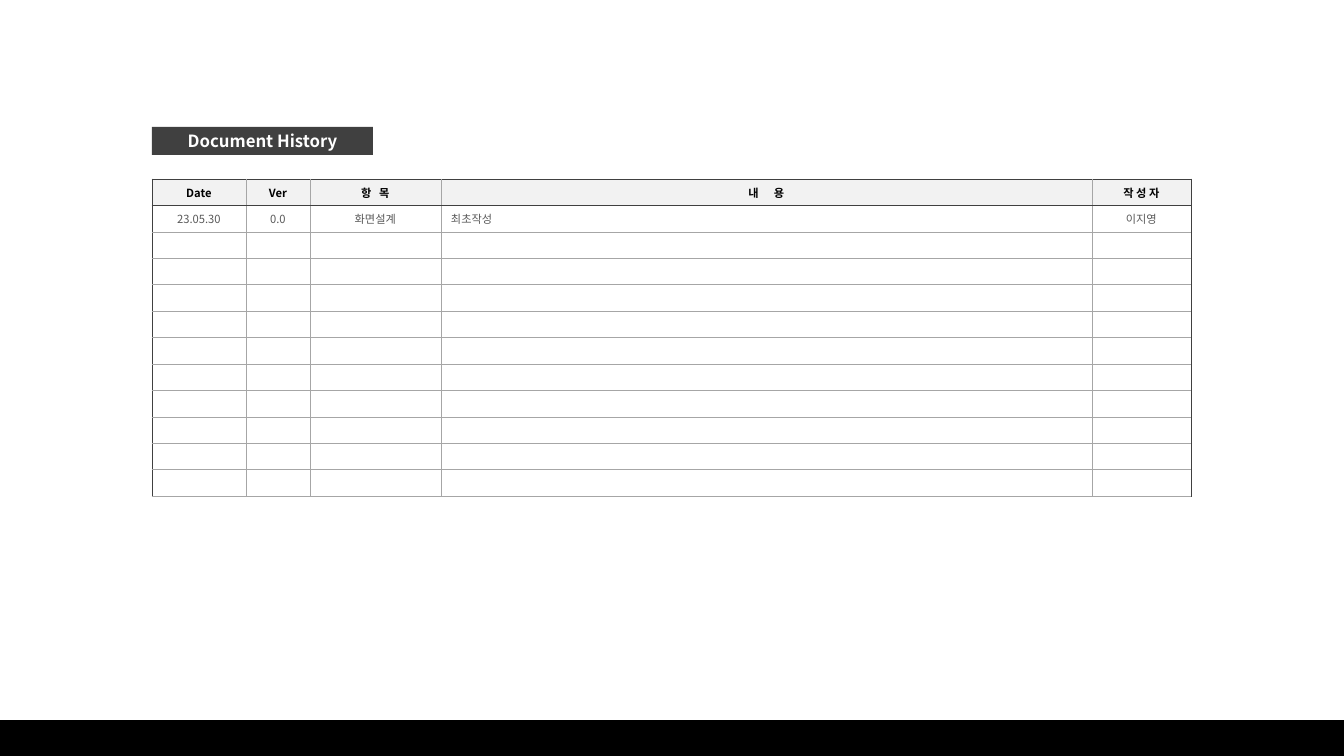
from copy import deepcopy

from lxml import etree
from pptx import Presentation
from pptx.dml.color import RGBColor
from pptx.enum.shapes import MSO_SHAPE
from pptx.enum.text import MSO_ANCHOR, PP_ALIGN
from pptx.oxml.ns import qn
from pptx.util import Emu, Pt

RECT = MSO_SHAPE.RECTANGLE
MIDDLE = MSO_ANCHOR.MIDDLE
LEFT, CENTER = PP_ALIGN.LEFT, PP_ALIGN.CENTER

# Content
TITLE = "Document History"
HEADER = ["Date", "Ver", "항   목", "내      용", "작 성 자"]
ENTRIES = [["23.05.30", "0.0", "화면설계", "최초작성", "이지영"]]
EMPTY_ROWS = 10
DESCRIPTION_COL = 3

# Style
FONT = "Noto Sans CJK KR"
COLORS = {
    "black": "000000",
    "white": "FFFFFF",
    "dark": "404040",
    "body": "595959",
    "grid": "A6A6A6",
    "header": "F2F2F2",
}

# Layout in px
SLIDE_W, SLIDE_H = 1344, 756
FOOTER_H = 36
TITLE_BOX = (152, 127, 221, 28)
TABLE_X, TABLE_Y = 152, 179
COL_WIDTHS = [94, 64, 131, 651, 99]
ROW_H = 24
BORDER_PT = 0.5


def px(n):
    return Emu(round(n * 12192000 / SLIDE_W))


def rgb(name):
    return RGBColor.from_string(COLORS[name])


def add_bar(slide, box, color):
    sp = slide.shapes.add_shape(RECT, *map(px, box))
    sp.shadow.inherit = False
    sp.fill.solid()
    sp.fill.fore_color.rgb = rgb(color)
    sp.line.fill.background()
    return sp


def write(tf, text, size, color, bold, align=CENTER):
    p = tf.paragraphs[0]
    p.text = text
    p.alignment = align
    p.font.name = FONT
    p.font.size = Pt(size)
    p.font.bold = bold
    p.font.color.rgb = rgb(color)
    # Hangul typeface, and the same font for paragraphs without text
    props = p._p.pPr.find(qn("a:defRPr"))
    etree.SubElement(props, qn("a:ea"), typeface=FONT)
    end = etree.SubElement(p._p, qn("a:endParaRPr"), dict(props.attrib))
    end.extend(deepcopy(list(props)))


def set_borders(cell, **sides):
    tcPr = cell._tc.get_or_add_tcPr()
    for side, color in sides.items():
        ln = etree.SubElement(tcPr, qn(f"a:ln{side}"), w=str(Pt(BORDER_PT)))
        fill = etree.SubElement(ln, qn("a:solidFill"))
        etree.SubElement(fill, qn("a:srgbClr"), val=COLORS[color])


def add_history(slide):
    rows = [HEADER, *ENTRIES] + [[""] * len(HEADER)] * EMPTY_ROWS
    last = len(HEADER) - 1
    frame = slide.shapes.add_table(
        len(rows), len(HEADER), px(TABLE_X), px(TABLE_Y),
        px(sum(COL_WIDTHS)), px(ROW_H * len(rows)))
    table = frame.table
    table.first_row = table.horz_banding = False
    for col, width in zip(table.columns, COL_WIDTHS):
        col.width = px(width)
    for r, texts in enumerate(rows):
        table.rows[r].height = px(ROW_H)
        head = r == 0
        for c, text in enumerate(texts):
            cell = table.cell(r, c)
            cell.vertical_anchor = MIDDLE
            align = LEFT if c == DESCRIPTION_COL and not head else CENTER
            write(cell.text_frame, text, 8, "black" if head else "body", head, align)
            set_borders(
                cell,
                L="dark" if c == 0 else "grid",
                R="dark" if c == last else "grid",
                T="dark" if r <= 1 else "grid",
                B="dark" if head else "grid")
            if head:
                cell.fill.solid()
                cell.fill.fore_color.rgb = rgb("header")
            else:
                cell.fill.background()


def main():
    prs = Presentation()
    prs.slide_width, prs.slide_height = px(SLIDE_W), px(SLIDE_H)
    slide = prs.slides.add_slide(prs.slide_layouts[6])

    # Footer band
    add_bar(slide, (0, SLIDE_H - FOOTER_H, SLIDE_W, FOOTER_H), "black")

    # Title label
    tf = add_bar(slide, TITLE_BOX, "dark").text_frame
    tf.word_wrap = False
    tf.vertical_anchor = MIDDLE
    write(tf, TITLE, 12, "white", True)

    # Revision table
    add_history(slide)

    prs.save("out.pptx")


if __name__ == "__main__":
    main()
